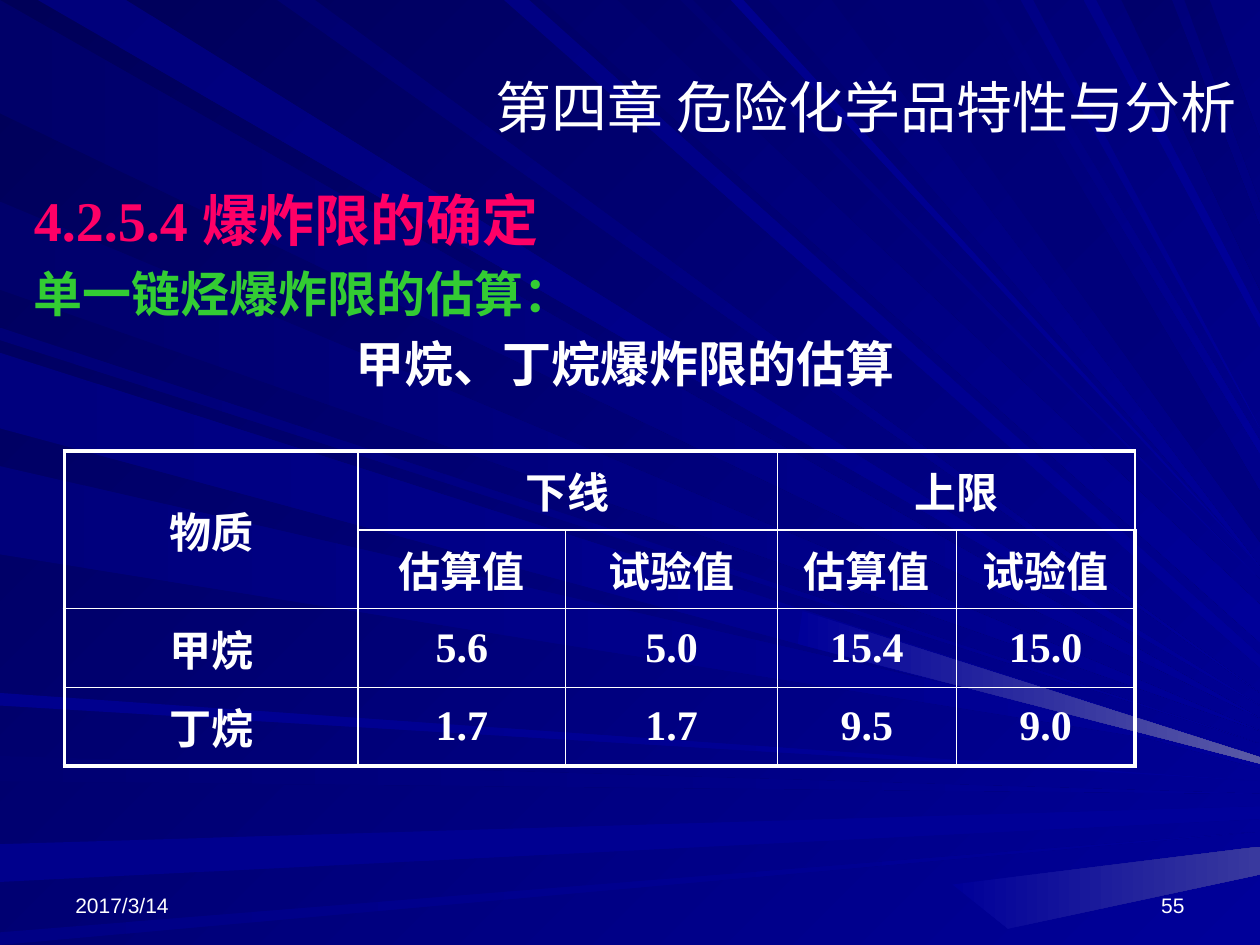
import dataclasses

import pptx
import pptx.util
import pptx.dml.color
import pptx.enum.text
import pptx.oxml

Inches, Pt = pptx.util.Inches, pptx.util.Pt
ALIGN = pptx.enum.text.PP_ALIGN
ANCHOR = pptx.enum.text.MSO_ANCHOR


@dataclasses.dataclass
class Theme:
    sans: str = "Arial"
    serif: str = "Times New Roman"
    white: str = "FFFFFF"
    pink: str = "FF0066"
    green: str = "33CC33"
    dark: str = "000058"
    navy: str = "000080"
    blue: str = "000099"
    glow: str = "5A5AA6"
    haze: str = "39399E"
    head: int = 32
    body: int = 28
    cell: int = 24
    foot: int = 12
    thick: float = 2.25
    thin: float = 1


# Light rays: shade of blue, start and end on the slide's edge,
# height where the ray meets the right side, and its spread there
LEFT_RAYS = [
    ("69", 0, 0.9, 5.7, 0), ("71", 6, 6.2, 6.3, 0),
    ("8C", 6.7, 7, 6.4, 0.1), ("85", 7.4, 7.5, 6.6, 0),
    ("76", 2.6, 2.7, 5.9, 0), ("6B", 1.6, 2.3, 5.8, 0),
    ("7E", 2.8, 3.4, 6, 0.1), ("7B", 3.7, 4.4, 6, 0),
    ("8E", 5.5, 5.6, 6.2, 0),
]
TOP_RAYS = [
    ("7B", 0.3, 1, 5.6, 0), ("83", 4, 4.2, 5.2, 0.1),
    ("6D", 4.3, 4.9, 4.8, 0.3), ("73", 5.4, 5.5, 4.6, 0),
    ("73", 6.1, 6.6, 4.5, 0), ("6B", 8.9, 9.3, 1.8, 0.5),
    ("6D", 9.4, 9.6, 1.1, 0.5), ("70", 2.2, 2.5, 5.5, 0),
    ("8E", 5.8, 5.9, 4.5, 0), ("73", 6.9, 7.7, 3.9, 0.4),
    ("78", 7.8, 7.9, 3.5, 0.1), ("85", 8.1, 8.2, 3.4, 0),
    ("8A", 8.6, 8.7, 2.5, 0.1),
]

ROWS = [
    ["物质", "下线", "", "上限", ""],
    ["", "估算值", "试验值", "估算值", "试验值"],
    ["甲烷", "5.6", "5.0", "15.4", "15.0"],
    ["丁烷", "1.7", "1.7", "9.5", "9.0"],
]
COLS = [2.33, 1.65, 1.68, 1.42, 1.42]
SPANS = [((0, 0), (1, 0)), ((0, 1), (0, 2)), ((0, 3), (0, 4))]


def rgb(code):
    return pptx.dml.color.RGBColor.from_string(code)


class Deck:
    def __init__(self, theme):
        self.theme = theme
        self.prs = pptx.Presentation()
        self.prs.slide_width, self.prs.slide_height = Inches(10), Inches(7.5)
        self.slide = self.prs.slides.add_slide(self.prs.slide_layouts[5])

    def paint(self, fill, first, last, angle):
        fill.gradient()
        fill.gradient_angle = 360 - angle
        for stop, code in zip(fill.gradient_stops, (first, last)):
            stop.color.rgb = rgb(code)

    def style(self, para, size, face, color=None, bold=False, align=ALIGN.LEFT):
        para.alignment = align
        for run in para.runs:
            run.font.size, run.font.name, run.font.bold = Pt(size), face, bold
            run.font.color.rgb = rgb(color or self.theme.white)

    def ray(self, points, first, last, angle=0):
        spots = [(Inches(x), Inches(y)) for x, y in points]
        build = self.slide.shapes.build_freeform(*spots[0])
        build.add_line_segments(spots[1:], close=True)
        shape = build.convert_to_shape()
        shape.shadow.inherit = False
        shape.line.fill.background()
        self.paint(shape.fill, first, last, angle)

    def title(self, text, box):
        shape = self.slide.shapes.title
        shape.left, shape.top, shape.width, shape.height = map(Inches, box)
        frame = shape.text_frame
        frame.text = text
        frame.vertical_anchor = ANCHOR.MIDDLE
        self.style(frame.paragraphs[0], self.theme.head, self.theme.sans,
                   align=ALIGN.CENTER)
        # Bring the title in front of the rays
        self.slide.shapes._spTree.append(shape._element)

    def text(self, box, lines, anchor=ANCHOR.TOP, gap=0):
        frame = self.slide.shapes.add_textbox(*map(Inches, box)).text_frame
        frame.word_wrap = True
        frame.vertical_anchor = anchor
        frame.text = "\n".join(line[0] for line in lines)
        for i, (para, line) in enumerate(zip(frame.paragraphs, lines)):
            self.style(para, *line[1:])
            if i:
                para.space_before = Pt(gap)

    def edge(self, cell, side, width):
        cell._tc.get_or_add_tcPr().append(pptx.oxml.parse_xml(
            f'<a:{side} xmlns:a="http://schemas.openxmlformats.org/drawingml/2006/main"'
            f' w="{Pt(width)}"><a:solidFill><a:srgbClr val="{self.theme.white}"/>'
            f'</a:solidFill></a:{side}>'))

    def table(self, box, rows, cols, spans):
        theme = self.theme
        grid = self.slide.shapes.add_table(
            len(rows), len(cols), *map(Inches, box)).table
        grid.first_row = grid.horz_banding = False
        for col, width in zip(grid.columns, cols):
            col.width = Inches(width)
        for row in grid.rows:
            row.height = Inches(box[3] / len(rows))
        for r, row in enumerate(rows):
            for c, text in enumerate(row):
                cell = grid.cell(r, c)
                cell.text = text
                cell.vertical_anchor = ANCHOR.MIDDLE
                face = theme.serif if r > 1 and c else theme.sans
                self.style(cell.text_frame.paragraphs[0], theme.cell, face,
                           bold=True, align=ALIGN.CENTER)
                # Thick frame outside, thin lines inside
                outer = {"lnL": c == 0, "lnR": c == len(cols) - 1,
                         "lnT": r == 0, "lnB": r == len(rows) - 1}
                for side, rim in outer.items():
                    self.edge(cell, side, theme.thick if rim else theme.thin)
                cell.fill.background()
        for start, end in spans:
            grid.cell(*start).merge(grid.cell(*end))


def main():
    theme = Theme()
    deck = Deck(theme)

    # Backdrop with rays from the left and from the top
    deck.paint(deck.slide.background.fill, theme.dark, theme.blue, 45)
    for shade, start, end, meet, spread in LEFT_RAYS:
        deck.ray([(0, start), (0, end), (10, meet + spread), (10, meet)],
                 "0000" + shade, theme.blue)
    for shade, start, end, meet, spread in TOP_RAYS:
        last = theme.navy if spread > 0.3 else theme.blue
        deck.ray([(start, 0), (end, 0), (10, meet), (10, meet + spread)],
                 "0000" + shade, last, 45)

    # Bright patches at the lower right
    deck.ray([(6.37, 4.85), (6.33, 5.11), (10, 6.06), (10, 6.01)],
             theme.blue, theme.glow)
    deck.ray([(7.56, 7.02), (8, 7.37), (10, 6.94), (10, 6.72)],
             theme.blue, theme.haze)

    # Date and page number
    for left, text, align in ((0.5, "2017/3/14", ALIGN.LEFT), (7.17, "55", ALIGN.RIGHT)):
        deck.text((left, 6.83, 2.33, 0.5),
                  [(text, theme.foot, theme.sans, theme.white, False, align)],
                  ANCHOR.BOTTOM)

    # Headings
    deck.text((0.17, 1.42, 9.58, 2.04), [
        ("4.2.5.4 爆炸限的确定", theme.head, theme.serif, theme.pink, True),
        ("单一链烃爆炸限的估算：", theme.body, theme.serif, theme.green, True),
        ("甲烷、丁烷爆炸限的估算", theme.body, theme.serif, theme.white, True, ALIGN.CENTER),
    ], gap=6.5)

    # Limits table and title
    deck.table((0.51, 3.58, 8.5, 2.5), ROWS, COLS, SPANS)
    deck.title("第四章 危险化学品特性与分析", (3.75, 0.33, 6.25, 1.03))
    deck.prs.save("out.pptx")


if __name__ == "__main__":
    main()
